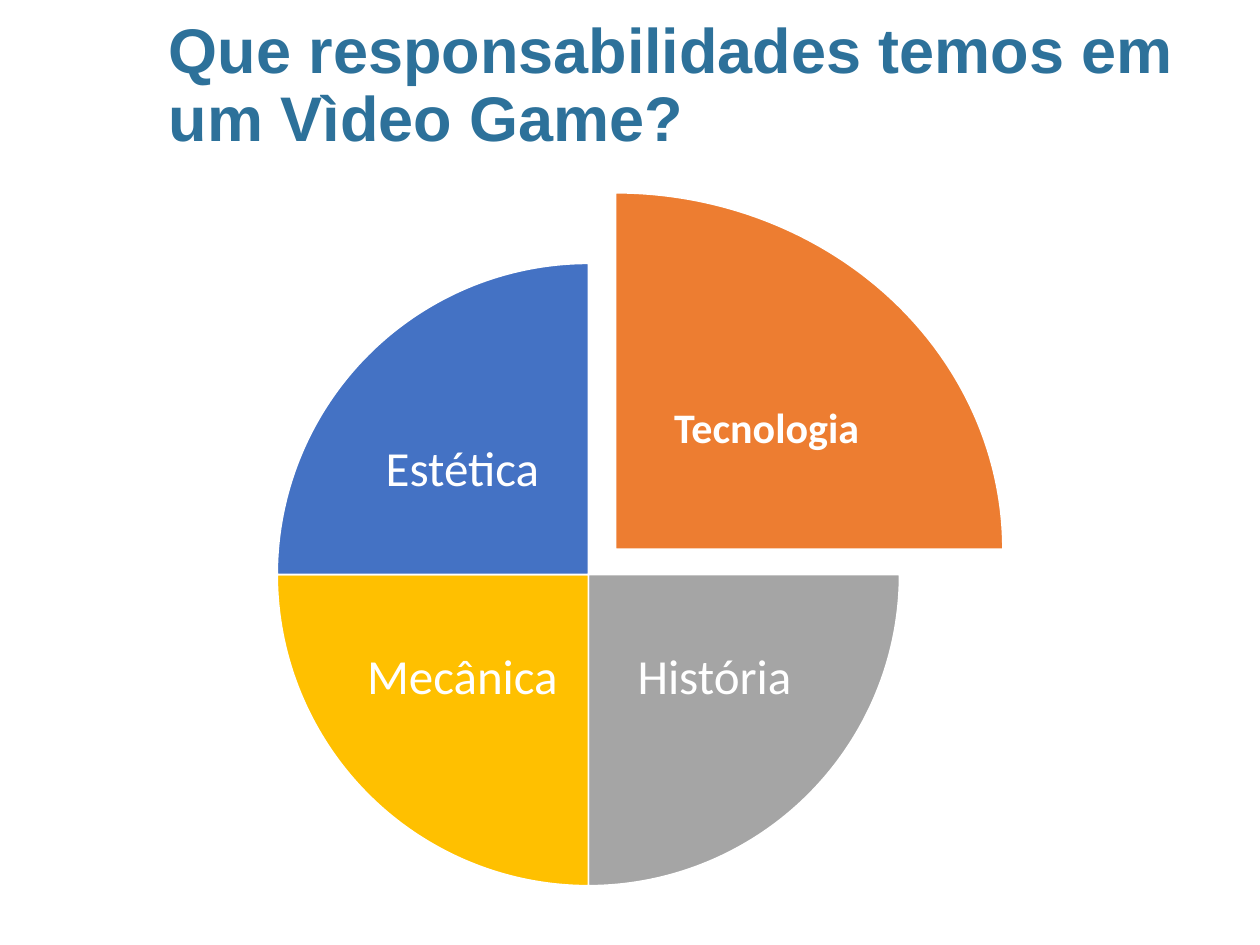
from pptx import Presentation
from pptx.dml.color import RGBColor
from pptx.enum import shapes, text
from pptx.util import Inches, Pt

WHITE = "FFFFFF"
CIRCLE = (2.2, 2.09, 4.94, 4.94)
QUARTER = 54  # pie adjustments count 90 degrees as 54
LABEL_SIZE = (1.82, 1.47)


def color(value):
    return RGBColor.from_string(value)


def style_paragraph(para, font, size, hue, bold=False):
    para.line_spacing = 0.9
    para.font.name = font
    para.font.size = Pt(size)
    para.font.bold = bold
    para.font.color.rgb = color(hue)


def set_title(slide, wording):
    title = slide.shapes.title
    title.left, title.top = Inches(1.24), Inches(0.08)
    title.width, title.height = Inches(8.63), Inches(1.22)
    frame = title.text_frame
    frame.text = wording
    frame.word_wrap = True
    frame.vertical_anchor = text.MSO_ANCHOR.MIDDLE
    para = frame.paragraphs[0]
    para.alignment = text.PP_ALIGN.LEFT
    style_paragraph(para, "Arial", 36, "2D719A", bold=True)


def add_slice(slide, place, start, fill):
    """Draw a quarter pie, clockwise from the given quarter (0 is due east)."""
    piece = slide.shapes.add_shape(shapes.MSO_SHAPE.PIE, *map(Inches, place))
    piece.adjustments[0] = start * QUARTER
    piece.adjustments[1] = (start + 1) % 4 * QUARTER
    piece.shadow.inherit = False
    piece.fill.solid()
    piece.fill.fore_color.rgb = color(fill)
    piece.line.color.rgb = color(WHITE)
    piece.line.width = Pt(1)


def add_label(slide, place, wording, size, inset, bold=False):
    box = slide.shapes.add_textbox(*map(Inches, place))
    frame = box.text_frame
    frame.word_wrap = True
    frame.vertical_anchor = text.MSO_ANCHOR.MIDDLE
    frame.margin_left = frame.margin_right = Inches(inset)
    frame.margin_top = frame.margin_bottom = Inches(inset)
    para = frame.paragraphs[0]
    para.text = wording
    para.alignment = text.PP_ALIGN.CENTER
    style_paragraph(para, "Calibri", size, WHITE, bold)


def main():
    deck = Presentation()
    deck.slide_width, deck.slide_height = Inches(10), Inches(7.5)
    slide = deck.slides.add_slide(deck.slide_layouts[5])
    set_title(slide, "Que responsabilidades temos em um Vìdeo Game?")

    add_slice(slide, (1.81, 1.53, 6.15, 5.66), 3, "ED7D31")
    add_label(slide, (4.95, 2.57, 2.27, 1.68), "Tecnologia", 24, 0.03, bold=True)

    quarters = [
        ("História", "A5A5A5", 4.76, 4.65),
        ("Mecânica", "FFC000", 2.76, 4.65),
        ("Estética", "4472C4", 2.76, 3),
    ]
    for start, (wording, fill, left, top) in enumerate(quarters):
        add_slice(slide, CIRCLE, start, fill)
        add_label(slide, (left, top, *LABEL_SIZE), wording, 28, 0.04)

    deck.save("out.pptx")


if __name__ == "__main__":
    main()
